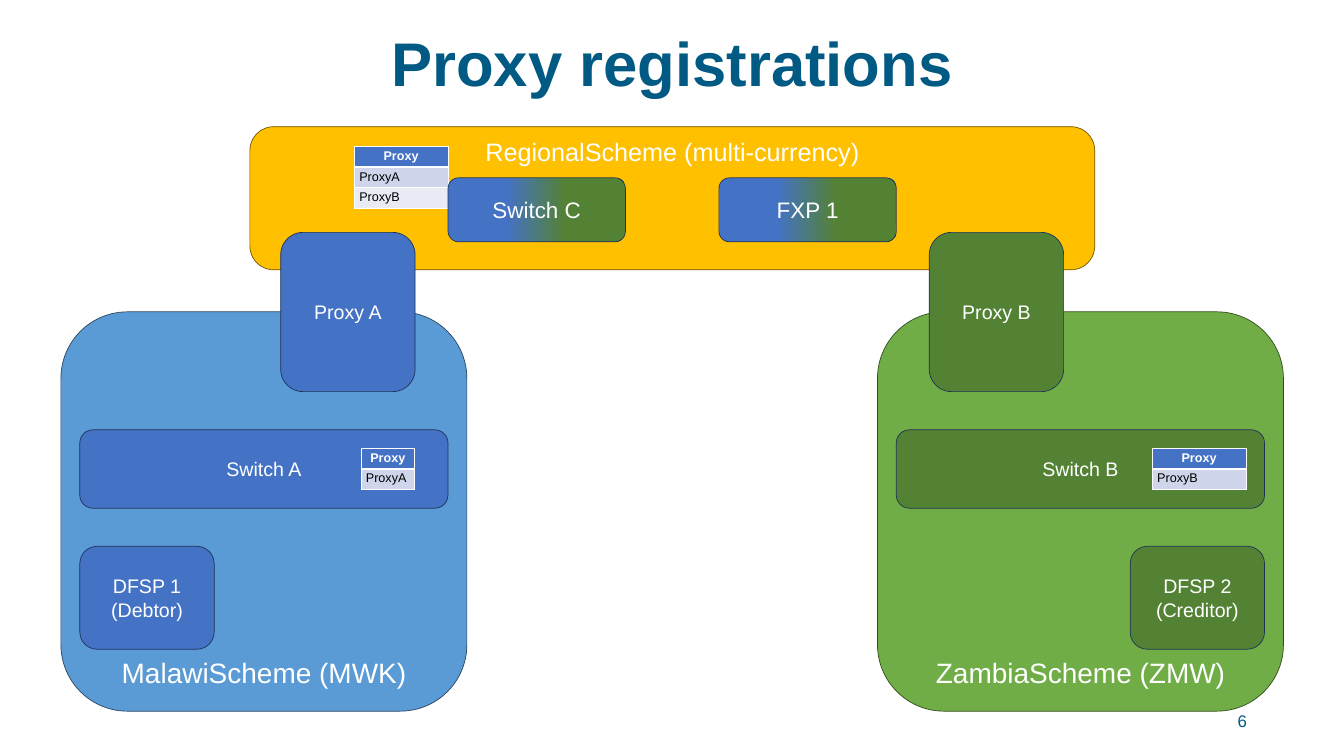
from dataclasses import dataclass

from lxml.etree import SubElement
from pptx import Presentation
from pptx.dml.color import RGBColor
from pptx.enum.shapes import MSO_SHAPE
from pptx.enum.text import MSO_ANCHOR, MSO_AUTO_SIZE, PP_ALIGN
from pptx.oxml.ns import qn
from pptx.util import Pt


@dataclass(frozen=True)
class Theme:
    font: str = "Arial"
    title: str = "005A83"
    white: str = "FFFFFF"
    black: str = "000000"
    blue: str = "4472C4"
    green: str = "548235"
    sky: str = "5B9BD5"
    grass: str = "70AD47"
    gold: str = "FFC000"
    edge: str = "1E3256"
    sky_edge: str = "28445D"
    grass_edge: str = "314C1F"
    gold_edge: str = "705400"
    bands: tuple = ("CFD5EA", "E9EBF5")
    head_size: int = 88
    scheme_size: int = 40
    region_size: int = 36
    hub_size: int = 32
    body_size: int = 28
    page_size: int = 24
    cell_size: int = 18


T = Theme()
ROW = 29.3


def rgb(code):
    return RGBColor.from_string(code)


def write(frame, text, size=T.body_size, color=T.white, bold=False,
          align=PP_ALIGN.CENTER, anchor=MSO_ANCHOR.MIDDLE, spacing=None):
    frame.word_wrap = True
    frame.vertical_anchor = anchor
    para = frame.paragraphs[0]
    para.alignment = align
    para.line_spacing = spacing
    run = para.add_run()
    run.text = text
    font = run.font
    font.name, font.size, font.bold = T.font, Pt(size), bold
    font.color.rgb = rgb(color)


def add_box(slide, box, text, fill, edge=T.edge, **fmt):
    """Draw a rounded box; a pair of fill colours makes a gradient."""
    shape = slide.shapes.add_shape(MSO_SHAPE.ROUNDED_RECTANGLE, *map(Pt, box))
    shape.shadow.inherit = False
    if isinstance(fill, tuple):
        shape.fill.gradient()
        shape.fill.gradient_angle = 0
        stops = zip(shape.fill.gradient_stops, fill, (0.33, 0.66))
        for stop, color, place in stops:
            stop.color.rgb = rgb(color)
            stop.position = place
    else:
        shape.fill.solid()
        shape.fill.fore_color.rgb = rgb(fill)
    shape.line.color.rgb = rgb(edge)
    shape.line.width = Pt(1)
    write(shape.text_frame, text, **fmt)


def add_border(cell, side, width):
    line = SubElement(cell._tc.get_or_add_tcPr(), qn(f"a:ln{side}"),
                      w=str(Pt(width)))
    fill = SubElement(line, qn("a:solidFill"))
    SubElement(fill, qn("a:srgbClr"), val=T.white)


def add_list(slide, left, top, width, names):
    """Draw a one-column table of proxies."""
    rows = ["Proxy", *names]
    table = slide.shapes.add_table(len(rows), 1, Pt(left), Pt(top), Pt(width),
                                   Pt(ROW * len(rows))).table
    for i, name in enumerate(rows):
        head = i == 0
        cell = table.cell(i, 0)
        for side in "LRTB":
            thick = (head and side == "B") or (i == 1 and side == "T")
            add_border(cell, side, 3 if thick else 1)
        cell.fill.solid()
        cell.fill.fore_color.rgb = rgb(T.blue if head else T.bands[(i - 1) % 2])
        write(cell.text_frame, name, size=T.cell_size, bold=head,
              color=T.white if head else T.black,
              align=PP_ALIGN.CENTER if head else PP_ALIGN.LEFT)
        cell.vertical_anchor = MSO_ANCHOR.TOP


def add_title(slide, box, text):
    title = slide.shapes.title
    title.left, title.top, title.width, title.height = map(Pt, box)
    write(title.text_frame, text, size=T.head_size, color=T.title, bold=True,
          spacing=0.9)
    title.text_frame.auto_size = MSO_AUTO_SIZE.NONE


def add_page(slide, box, number):
    label = slide.shapes.add_textbox(*map(Pt, box))
    write(label.text_frame, number, size=T.page_size, color=T.title,
          align=PP_ALIGN.RIGHT)


def add_region(slide, box):
    x, y, _, _ = box
    add_box(slide, box, "RegionalScheme (multi-currency)", T.gold,
            T.gold_edge, size=T.region_size, anchor=MSO_ANCHOR.TOP)
    add_list(slide, x + 149, y + 28.5, 134, ["ProxyA", "ProxyB"])
    for text, dx in (("Switch C", 283), ("FXP 1", 670)):
        add_box(slide, (x + dx, y + 73, 253.5, 91.5), text,
                (T.blue, T.green), size=T.hub_size)


def add_scheme(slide, box, name, key, bank, fills, entry, flip=False):
    """Draw a national scheme; flip mirrors its proxy and bank."""
    x, y, w, _ = box
    fill, edge, part = fills
    side, pad = 192, 27

    def place(dx):
        return x + (w - side - dx if flip else dx)

    add_box(slide, box, name, fill, edge, size=T.scheme_size,
            anchor=MSO_ANCHOR.BOTTOM)
    add_box(slide, (place(pad), y + 335, side, 147), bank, part)
    add_box(slide, (x + pad, y + 168.5, w - 2 * pad, 112), f"Switch {key}", part)
    add_box(slide, (place(314), y - 113.5, side, 227.5), f"Proxy {key}", part)
    dx, width = entry
    add_list(slide, x + dx, y + 195, width, [f"Proxy{key}"])


def main():
    deck = Presentation()
    deck.slide_width, deck.slide_height = Pt(1920), Pt(1080)
    slide = deck.slides.add_slide(deck.slide_layouts[5])
    add_title(slide, (44.5, 36.5, 1831, 117.5), "Proxy registrations")
    add_page(slide, (1356.5, 1001, 432, 57.5), "6")
    add_region(slide, (357, 181, 1207, 204.5))
    add_scheme(slide, (87, 445.5, 580, 570.5), "MalawiScheme (MWK)", "A",
               "DFSP 1 (Debtor)", (T.sky, T.sky_edge, T.blue), (428.5, 77))
    add_scheme(slide, (1253.5, 445.5, 580, 570.5), "ZambiaScheme (ZMW)", "B",
               "DFSP 2 (Creditor)", (T.grass, T.grass_edge, T.green),
               (392.5, 134), flip=True)
    deck.save("out.pptx")


if __name__ == "__main__":
    main()
